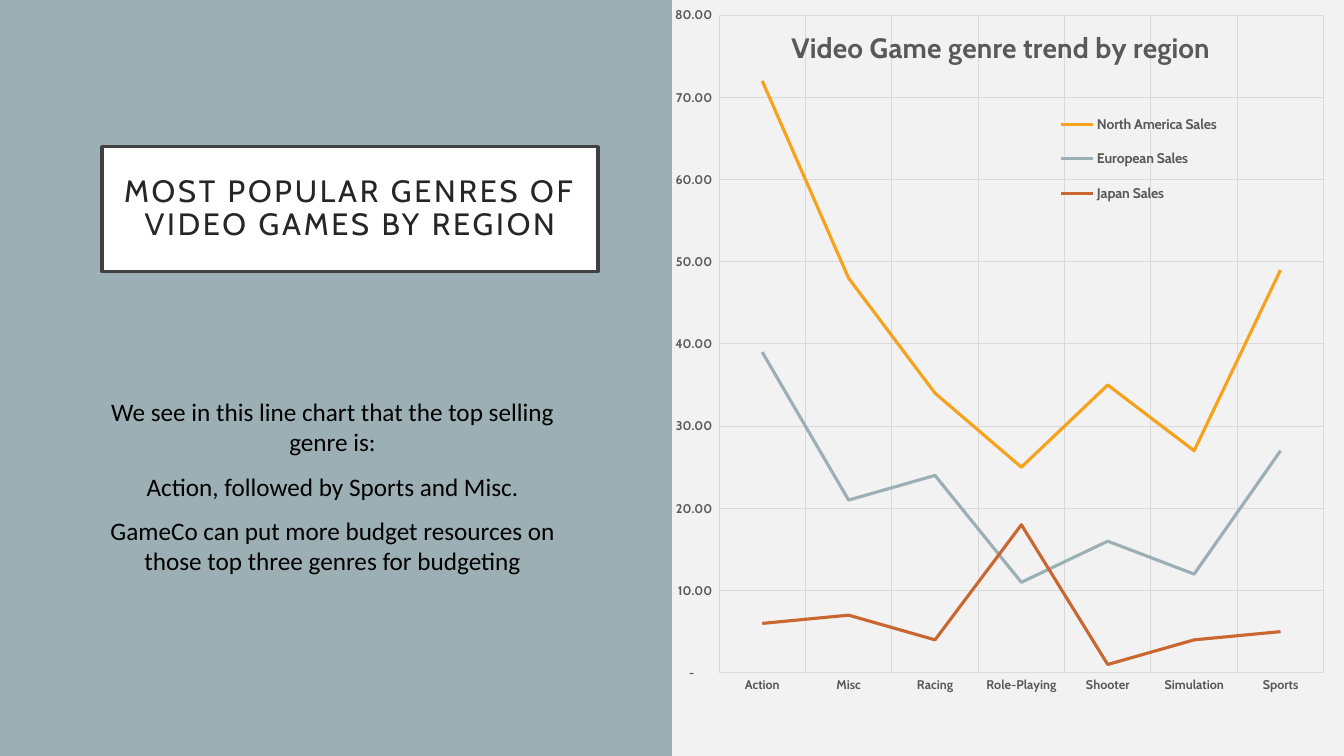
from dataclasses import dataclass

from lxml import etree
from pptx import Presentation
from pptx.chart.data import CategoryChartData
from pptx.dml.color import RGBColor
from pptx.enum.chart import XL_CHART_TYPE, XL_LEGEND_POSITION, XL_MARKER_STYLE, XL_TICK_MARK
from pptx.enum.shapes import MSO_SHAPE
from pptx.enum.text import MSO_ANCHOR, PP_ALIGN
from pptx.oxml.ns import qn
from pptx.util import Inches, Pt

RECTANGLE = MSO_SHAPE.RECTANGLE
LINE = XL_CHART_TYPE.LINE
LEGEND_RIGHT = XL_LEGEND_POSITION.RIGHT
NO_MARKER = XL_MARKER_STYLE.NONE
NO_TICK = XL_TICK_MARK.NONE
TOP, MIDDLE = MSO_ANCHOR.TOP, MSO_ANCHOR.MIDDLE
CENTER = PP_ALIGN.CENTER

WIDTH, HEIGHT = Inches(13.33), Inches(7.5)
NUMBER_FORMAT = r'_(* #,##0.00_);_(* \(#,##0.00\);_(* "-"??_);_(@_)'

TITLE = "MOST POPULAR GENRES OF VIDEO GAMES BY REGION"
FINDINGS = [
    "We see in this line chart that the top selling genre is:",
    "Action, followed by Sports and Misc.",
    "GameCo can put more budget resources on those top three genres for budgeting",
]
CHART_TITLE = "Video Game genre trend by region"
GENRES = ["Action", "Misc", "Racing", "Role-Playing", "Shooter", "Simulation", "Sports"]
SALES = {
    "North America Sales": [72, 48, 34, 25, 35, 27, 49],
    "European Sales": [39, 21, 24, 11, 16, 12, 27],
    "Japan Sales": [6, 7, 4, 18, 1, 4, 5],
}


@dataclass(frozen=True)
class Theme:
    """Colours, fonts and type sizes of the slide."""
    page: str = "F2F2F2"
    panel: str = "9BAFB5"
    card: str = "FFFFFF"
    border: str = "404040"
    heading: str = "262626"
    body: str = "000000"
    label: str = "595959"
    grid: str = "D9D9D9"
    series: tuple = ("F6A21D", "9BAFB5", "C96731")
    display_font: str = "Cabin"
    body_font: str = "Calibri"
    heading_size: float = 22
    body_size: float = 18
    chart_title_size: float = 20
    legend_size: float = 10
    axis_size: float = 9


THEME = Theme()


def share(box, left, top, width, height):
    """Return the part of a box given by shares of its width and height."""
    x, y, w, h = box
    return int(x + left * w), int(y + top * h), int(width * w), int(height * h)


def paint(fill, color):
    """Fill with one solid colour."""
    fill.solid()
    fill.fore_color.rgb = RGBColor.from_string(color)


def rule(line, color, width):
    """Give a line its colour and width."""
    paint(line.fill, color)
    line.width = Pt(width)


def style(font, size, color, name=THEME.display_font, bold=False):
    """Set the face, size, weight and colour of a font."""
    font.name, font.size, font.bold = name, Pt(size), bold
    font.color.rgb = RGBColor.from_string(color)


def write(frame, text, first=False, before=0, leading=1.0, tracking=0, **look):
    """Add one centred paragraph to a text frame."""
    para = frame.paragraphs[0] if first else frame.add_paragraph()
    para.alignment = CENTER
    para.space_before, para.line_spacing = Pt(before), leading
    span = para.add_run()
    span.text = text
    style(span.font, **look)
    if tracking:
        span._r.get_or_add_rPr().set("spc", str(tracking * 100))


def add_rectangle(page, box, color):
    """Add a filled rectangle without shadow or outline."""
    shape = page.shapes.add_shape(RECTANGLE, *box)
    shape.shadow.inherit = False
    paint(shape.fill, color)
    shape.line.fill.background()
    return shape


def add_message(page, box):
    """Place the coloured panel with its title card and findings."""
    add_rectangle(page, box, THEME.panel)
    card = add_rectangle(page, share(box, 0.152, 0.194, 0.738, 0.165), THEME.card)
    rule(card.line, THEME.border, 2.5)
    frame = card.text_frame
    frame.word_wrap, frame.vertical_anchor = True, MIDDLE
    frame.margin_left = frame.margin_right = Inches(0.2)
    frame.margin_top = frame.margin_bottom = Inches(0.2)
    write(frame, TITLE, first=True, leading=0.9, tracking=2,
          size=THEME.heading_size, color=THEME.heading)

    findings = page.shapes.add_textbox(*share(box, 0.141, 0.518, 0.708, 0.32)).text_frame
    findings.word_wrap, findings.vertical_anchor = True, TOP
    for index, text in enumerate(FINDINGS):
        write(findings, text, first=index == 0, before=10, size=THEME.body_size,
              color=THEME.body, name=THEME.body_font)


def set_layout(parent, position, **places):
    """Fix a chart part at the given shares of the chart."""
    for old in parent.findall(qn("c:layout")):
        parent.remove(old)
    layout = etree.Element(qn("c:layout"))
    parent.insert(position, layout)
    manual = etree.SubElement(layout, qn("c:manualLayout"))
    for tag, value in places.items():
        etree.SubElement(manual, qn(f"c:{tag}")).set("val", str(value))


def style_axis(axis):
    """Format the labels and gridlines of an axis."""
    axis.major_tick_mark = axis.minor_tick_mark = NO_TICK
    axis.has_major_gridlines = True
    rule(axis.major_gridlines.format.line, THEME.grid, 0.75)
    style(axis.tick_labels.font, THEME.axis_size, THEME.label, bold=True)


def add_sales_chart(page, box):
    """Place the line chart of sales by genre and region."""
    data = CategoryChartData(number_format=NUMBER_FORMAT)
    data.categories = GENRES
    for region, values in SALES.items():
        data.add_series(region, values)
    chart = page.shapes.add_chart(LINE, *box, data).chart
    style(chart.font, THEME.legend_size, THEME.body)

    chart.has_title = True
    write(chart.chart_title.text_frame, CHART_TITLE, first=True,
          size=THEME.chart_title_size, color=THEME.label, bold=True)
    chart.has_legend = True
    chart.legend.position = LEGEND_RIGHT
    chart.legend.include_in_layout = True
    style(chart.legend.font, THEME.legend_size, THEME.label, bold=True)

    style_axis(chart.category_axis)
    rule(chart.category_axis.format.line, THEME.grid, 0.75)
    sales_axis = chart.value_axis
    style_axis(sales_axis)
    sales_axis.format.line.fill.background()
    sales_axis.minimum_scale, sales_axis.maximum_scale, sales_axis.major_unit = 0, 80, 10
    sales_axis.tick_labels.number_format = NUMBER_FORMAT
    sales_axis.tick_labels.number_format_is_linked = False

    plot = chart.plots[0]
    plot.vary_by_categories = False
    for series, color in zip(plot.series, THEME.series):
        series.smooth = False
        series.marker.style = NO_MARKER
        rule(series.format.line, color, 2.25)

    root = chart.element.find(qn("c:chart"))
    title = root.find(qn("c:title"))
    set_layout(title, 1, xMode="edge", yMode="edge", x=0.17, y=0.03)
    title.find(qn("c:overlay")).set("val", "1")
    set_layout(root.find(qn("c:legend")), 1, xMode="edge", yMode="edge",
               x=0.56, y=0.13, w=0.27, h=0.16)
    set_layout(root.find(qn("c:plotArea")), 0, layoutTarget="inner", xMode="edge",
               yMode="edge", x=0.07, y=0.02, w=0.9, h=0.87)


def main():
    """Build and save the slide."""
    deck = Presentation()
    deck.slide_width, deck.slide_height = WIDTH, HEIGHT
    page = deck.slides.add_slide(deck.slide_layouts[6])
    paint(page.background.fill, THEME.page)
    whole = (0, 0, WIDTH, HEIGHT)
    add_message(page, share(whole, 0, 0, 0.5, 1))
    add_sales_chart(page, share(whole, 0.5, 0, 0.5, 1))
    deck.save("out.pptx")


if __name__ == "__main__":
    main()
